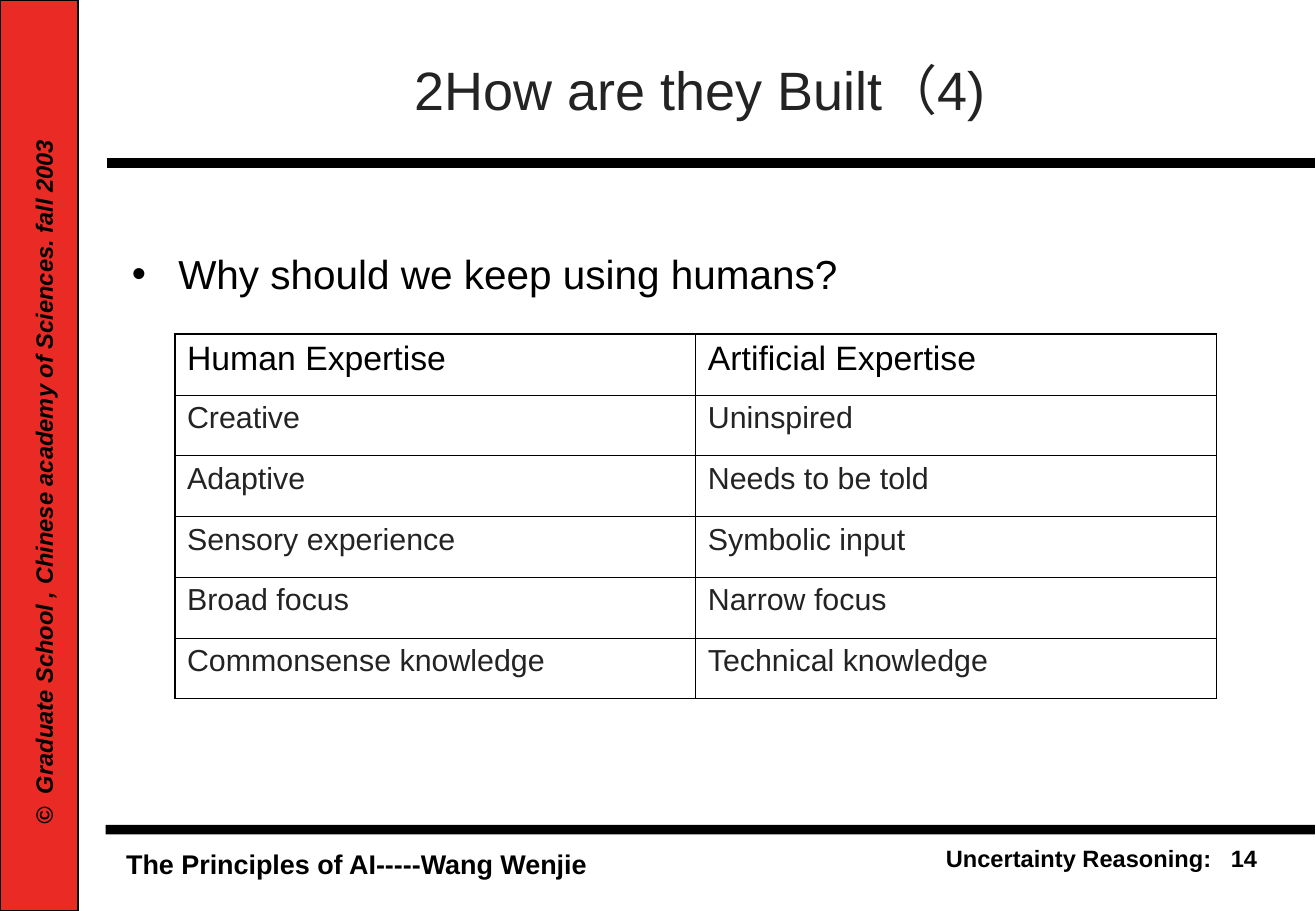
from dataclasses import dataclass

from lxml import etree
from pptx import Presentation
from pptx.dml.color import RGBColor
from pptx.enum.shapes import MSO_CONNECTOR, MSO_SHAPE
from pptx.enum.text import MSO_ANCHOR, MSO_AUTO_SIZE, PP_ALIGN
from pptx.oxml.ns import qn
from pptx.util import Cm, Pt

RECTANGLE, STRAIGHT = MSO_SHAPE.RECTANGLE, MSO_CONNECTOR.STRAIGHT
LEFT, CENTER, RIGHT = PP_ALIGN.LEFT, PP_ALIGN.CENTER, PP_ALIGN.RIGHT
TOP, MIDDLE = MSO_ANCHOR.TOP, MSO_ANCHOR.MIDDLE
FIT_SHAPE = MSO_AUTO_SIZE.SHAPE_TO_FIT_TEXT


@dataclass(frozen=True)
class Theme:
    font: str = "Arial"
    black: str = "000000"
    gray: str = "232323"
    red: str = "E92A25"
    title: int = 32
    bullet: int = 24
    heading: int = 20
    cell: int = 18
    footer: int = 16
    small: int = 14
    outer_line: float = 1.08
    inner_line: float = 0.45


THEME = Theme()
SLIDE_WIDTH, SLIDE_HEIGHT = 27.53, 19.05
EXPERTISE = [
    ("Human Expertise", "Artificial Expertise"),
    ("Creative", "Uninspired"),
    ("Adaptive", "Needs to be told"),
    ("Sensory experience", "Symbolic input"),
    ("Broad focus", "Narrow focus"),
    ("Commonsense knowledge", "Technical knowledge"),
]


def set_values(target, values):
    for name, value in values.items():
        setattr(target, name, value)


def write(frame, text, size, color=THEME.black, align=LEFT, before=0, after=0, **style):
    para = frame.paragraphs[0]
    set_values(para, {"alignment": align, "space_before": Pt(before), "space_after": Pt(after)})
    span = para.add_run()
    span.text = text
    set_values(span.font, {"name": THEME.font, "size": Pt(size), **style})
    span.font.color.rgb = RGBColor.from_string(color)
    return para


def add_text(page, box, text, size, wrap=True, anchor=TOP, **style):
    shape = page.shapes.add_textbox(*map(Cm, box))
    set_values(shape.text_frame, {"word_wrap": wrap, "vertical_anchor": anchor})
    return shape, write(shape.text_frame, text, size, **style)


def add_bar(page, box, color, line_width=0):
    bar = page.shapes.add_shape(RECTANGLE, *map(Cm, box))
    bar.shadow.inherit = False
    bar.fill.solid()
    bar.fill.fore_color.rgb = RGBColor.from_string(color)
    if line_width:
        bar.line.color.rgb = RGBColor.from_string(THEME.black)
        bar.line.width = Pt(line_width)
    else:
        bar.line.fill.background()


def add_sidebar(page, box):
    left, top, width, height = box
    add_bar(page, box, THEME.red, line_width=1)
    # The label is turned about its centre
    length, depth = 14.83, 0.86
    label_box = (left + 0.92 - length / 2, top + 10.08 - depth / 2, length, depth)
    label, _ = add_text(page, label_box,
                        "©  Graduate School , Chinese academy of Sciences. fall 2003",
                        THEME.small, wrap=False, bold=True, italic=True)
    label.text_frame.auto_size = FIT_SHAPE
    label.rotation = 270


def add_header(page, box):
    left, top, width, height = box
    add_text(page, (left + 0.73, top + 0.56, 23.34, 2.62), "2How are they Built（4)",
             THEME.title, anchor=MIDDLE, color=THEME.gray, align=CENTER)
    bottom = Cm(top + height)
    rule = page.shapes.add_connector(STRAIGHT, Cm(left), bottom, Cm(left + width), bottom)
    rule.line.color.rgb = RGBColor.from_string(THEME.black)
    rule.line.width = Pt(6)
    etree.SubElement(rule._element.spPr, qn("a:effectLst"))


def add_footer(page, box):
    left, top, width, height = box
    add_bar(page, (left, top, width, 0.2), THEME.black)
    course, _ = add_text(page, (left + 0.18, top + 0.35, 10.21, 0.91),
                         "The Principles of AI-----Wang Wenjie",
                         THEME.footer, wrap=False, bold=True)
    topic, _ = add_text(page, (left + 14.22, top + 0.28, 10.13, 0.84),
                        "Uncertainty Reasoning:   14",
                        THEME.small, align=RIGHT, bold=True)
    for label in (course, topic):
        label.text_frame.auto_size = FIT_SHAPE


def add_question(page, box):
    _, para = add_text(page, box, "Why should we keep using humans?", THEME.bullet,
                       before=9, after=6)
    props = para._p.get_or_add_pPr()
    indent = Cm(0.97)
    props.set("marL", str(indent))
    props.set("indent", str(-indent))
    bullet_color = etree.SubElement(props, qn("a:buClr"))
    etree.SubElement(bullet_color, qn("a:srgbClr"), val=THEME.black)
    etree.SubElement(props, qn("a:buFont"), typeface=THEME.font)
    etree.SubElement(props, qn("a:buChar"), char="•")


def add_borders(cell, outer_sides):
    props = cell._tc.get_or_add_tcPr()
    for index, side in enumerate(("L", "R", "T", "B")):
        width = THEME.outer_line if side in outer_sides else THEME.inner_line
        line = etree.Element(qn("a:ln" + side), w=str(Pt(width)))
        fill = etree.SubElement(line, qn("a:solidFill"))
        etree.SubElement(fill, qn("a:srgbClr"), val=THEME.black)
        props.insert(index, line)


def add_comparison(page, box, rows):
    last_row, last_column = len(rows) - 1, len(rows[0]) - 1
    frame = page.shapes.add_table(len(rows), len(rows[0]), *map(Cm, box))
    table = frame.table
    set_values(table, {"first_row": False, "horz_banding": False})
    heading_style = {"size": THEME.heading, "before": 7.5, "after": 5}
    cell_style = {"size": THEME.cell, "color": THEME.gray, "before": 6.8, "after": 4.5}
    for r, row in enumerate(rows):
        for c, text in enumerate(row):
            cell = table.cell(r, c)
            cell.fill.background()
            write(cell.text_frame, text, **(cell_style if r else heading_style))
            edges = {"L": c == 0, "R": c == last_column, "T": r == 0, "B": r == last_row}
            add_borders(cell, [side for side, outer in edges.items() if outer])


def main():
    deck = Presentation()
    set_values(deck, {"slide_width": Cm(SLIDE_WIDTH), "slide_height": Cm(SLIDE_HEIGHT)})
    page = deck.slides.add_slide(deck.slide_layouts[6])
    # Frame of the page
    add_footer(page, (2.21, 17.25, 25.3, 1.8))
    add_sidebar(page, (0, 0, 1.63, SLIDE_HEIGHT))
    add_header(page, (2.24, 0, 25.27, 3.4))
    # Content
    add_question(page, (2.51, 5.08, 23.85, 11.43))
    add_comparison(page, (3.66, 6.99, 21.79, 7.62), EXPERTISE)
    deck.save("out.pptx")


if __name__ == "__main__":
    main()
